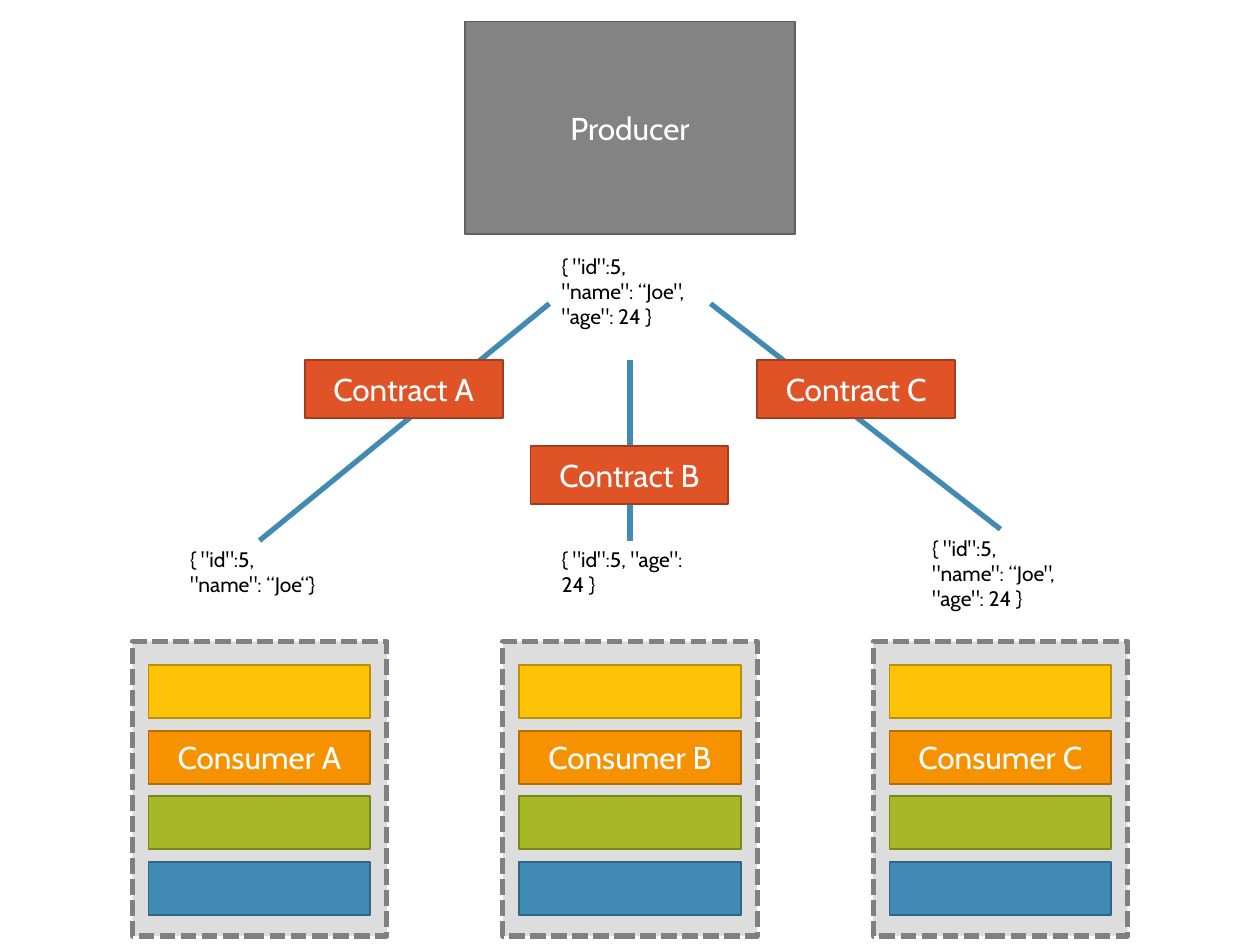
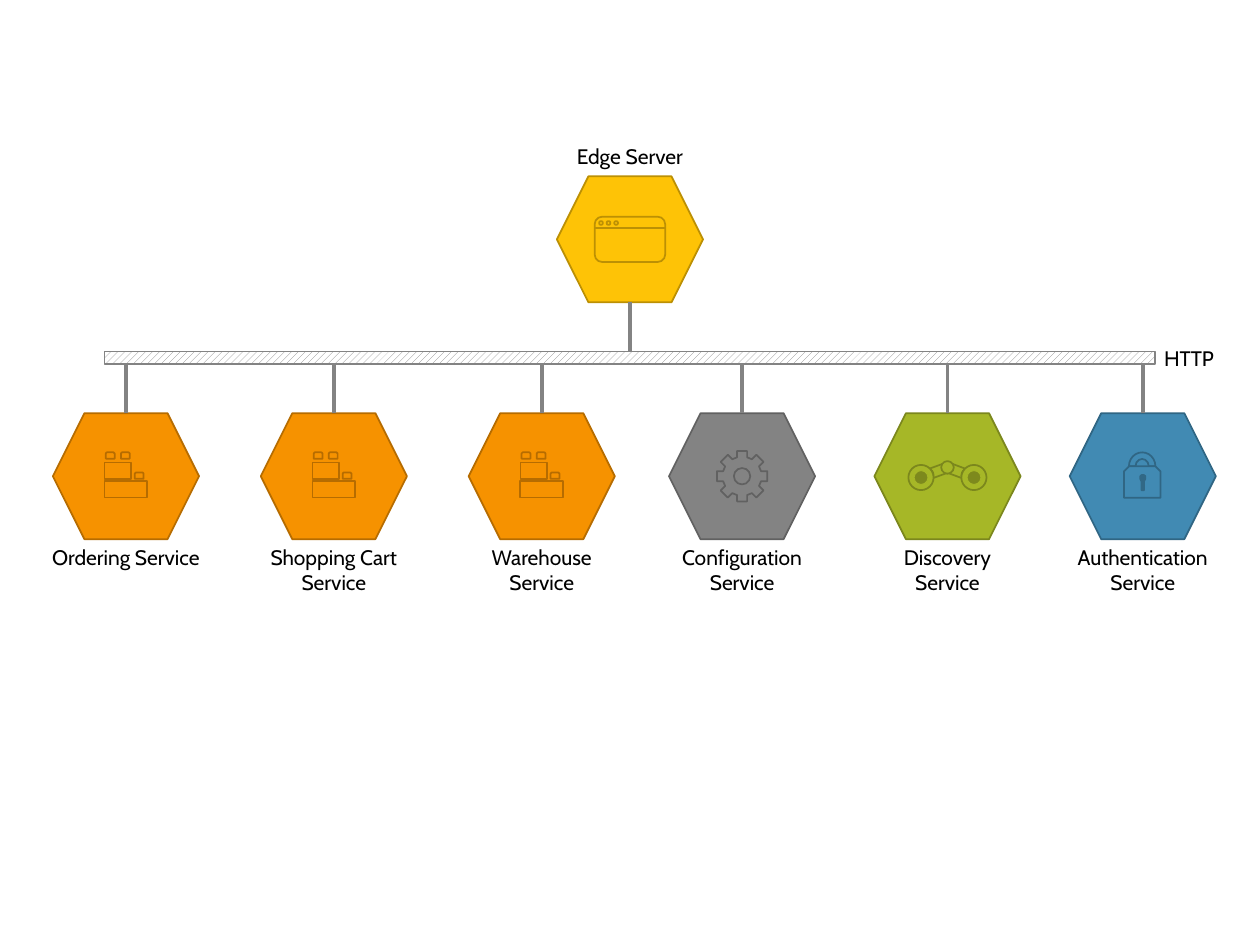
"""Builds two slides: consumer contracts and services behind an edge server."""
from dataclasses import dataclass
from math import cos, radians, sin
from typing import Callable, NamedTuple

from lxml import etree
from pptx import Presentation
from pptx import util as u
from pptx.dml.color import RGBColor
from pptx.enum import dml, shapes, text
from pptx.oxml import ns

KIND = shapes.MSO_SHAPE
ALIGN = text.PP_ALIGN
ANCHOR = text.MSO_ANCHOR


class Ink(NamedTuple):
    fill: str
    edge: str


class Rect(NamedTuple):
    x: float
    y: float
    w: float
    h: float


@dataclass(frozen=True)
class Theme:
    font: str = "Cabin"
    large: int = 18
    small: int = 12
    black: str = "000000"
    white: str = "FFFFFF"
    grey: Ink = Ink("838383", "616161")
    pale: Ink = Ink("DDDDDD", "808080")
    yellow: Ink = Ink("FEC306", "BC9004")
    orange: Ink = Ink("F69200", "B66C00")
    green: Ink = Ink("A6B727", "7B871D")
    blue: Ink = Ink("418AB3", "306684")
    red: Ink = Ink("DF5327", "A53D1D")
    lens: Ink = Ink("7D891D", "A6B727")
    hole: Ink = Ink("316886", "316886")


THEME = Theme()


@dataclass(frozen=True)
class Service:
    x: float
    name: str
    ink: Ink
    icon: Callable
    width: float = 1.3


@dataclass(frozen=True)
class Message:
    area: Rect
    words: str
    anchor: ANCHOR = ANCHOR.TOP


@dataclass(frozen=True)
class Deal:
    x: float
    y: float
    name: str
    start: tuple[float, float]
    end: tuple[float, float]


def rgb(code: str) -> RGBColor:
    return RGBColor.from_string(code)


def write(shape, words: str, size: int, color: str, align, anchor) -> None:
    frame = shape.text_frame
    frame.text = words
    frame.word_wrap = True
    frame.vertical_anchor = anchor
    for para in frame.paragraphs:
        para.alignment = align
        for run in para.runs:
            run.font.name = THEME.font
            run.font.size = u.Pt(size)
            run.font.color.rgb = rgb(color)


def paint(shape, ink: Ink, width: float = 1) -> None:
    shape.shadow.inherit = False
    shape.fill.solid()
    shape.fill.fore_color.rgb = rgb(ink.fill)
    shape.line.color.rgb = rgb(ink.edge)
    shape.line.width = u.Pt(width)


def block(slide, area: Rect, ink: Ink, words: str = "",
          kind=KIND.RECTANGLE, width: float = 1):
    shape = slide.shapes.add_shape(kind, *map(u.Inches, area))
    paint(shape, ink, width)
    if words:
        write(shape, words, THEME.large, THEME.white, ALIGN.CENTER, ANCHOR.MIDDLE)
    return shape


def disc(slide, x: float, y: float, size: float, ink: Ink, width: float = 1) -> None:
    area = Rect(x - size / 2, y - size / 2, size, size)
    block(slide, area, ink, kind=KIND.OVAL, width=width)


def label(slide, area: Rect, words: str, align=ALIGN.LEFT, anchor=ANCHOR.TOP) -> None:
    shape = slide.shapes.add_textbox(*map(u.Inches, area))
    write(shape, words, THEME.small, THEME.black, align, anchor)


def link(slide, start: tuple, end: tuple, color: str, width: float) -> None:
    line = slide.shapes.add_connector(
        shapes.MSO_CONNECTOR.STRAIGHT, *map(u.Inches, (*start, *end)))
    line.line.color.rgb = rgb(color)
    line.line.width = u.Pt(width)
    etree.SubElement(line._element.spPr, ns.qn("a:effectLst"))


def outline(slide, x: float, y: float, points: list, ink: Ink) -> None:
    """Draw a closed outline from offsets around a centre."""
    spots = [(u.Inches(x + dx), u.Inches(y + dy)) for dx, dy in points]
    pen = slide.shapes.build_freeform(*spots[0])
    pen.add_line_segments(spots[1:], close=True)
    paint(pen.convert_to_shape(), ink)


def crates(slide, x: float, y: float, ink: Ink) -> None:
    for dx, dy, w in ((-0.17, -0.11, 0.21), (-0.17, 0.04, 0.34)):
        block(slide, Rect(x + dx, y + dy, w, 0.13), ink)
    for dx, dy in ((-0.16, -0.19), (-0.04, -0.19), (0.07, -0.03)):
        block(slide, Rect(x + dx, y + dy, 0.07, 0.05), ink,
              kind=KIND.SNIP_2_SAME_RECTANGLE)


def gear(slide, x: float, y: float, ink: Ink) -> None:
    tooth = ((0.15, -0.04), (0.2, -0.04), (0.2, 0.04), (0.15, 0.04))
    points = [(r * cos(a) - t * sin(a), r * sin(a) + t * cos(a))
              for a in map(radians, range(0, 360, 45)) for r, t in tooth]
    outline(slide, x, y, points, ink)
    disc(slide, x, y, 0.13, ink)


def scope(slide, x: float, y: float, ink: Ink) -> None:
    for dx, turn in ((-0.15, 160), (-0.04, 20.5)):
        arm = block(slide, Rect(x + dx, y - 0.09, 0.19, 0.08), ink,
                    kind=KIND.FLOWCHART_STORED_DATA)
        arm.rotation = turn
    disc(slide, x, y - 0.07, 0.1, ink)
    for side in (-0.21, 0.21):
        disc(slide, x + side, y + 0.01, 0.2, ink)
        disc(slide, x + side, y + 0.01, 0.11, THEME.lens, 0.5)


def lock(slide, x: float, y: float, ink: Ink) -> None:
    block(slide, Rect(x - 0.11, y - 0.19, 0.21, 0.22), ink, kind=KIND.BLOCK_ARC)
    block(slide, Rect(x - 0.15, y - 0.08, 0.29, 0.25), ink,
          kind=KIND.SNIP_2_SAME_RECTANGLE)
    half = [(0.01, -0.02), (0.02, -0.01), (0.02, 0.01), (0.01, 0.03), (0.01, 0.1)]
    points = half + [(-dx, dy) for dx, dy in reversed(half)]
    outline(slide, x, y + 0.01, points, THEME.hole)


def window(slide, x: float, y: float, ink: Ink) -> None:
    block(slide, Rect(x - 0.28, y - 0.18, 0.56, 0.36), ink,
          kind=KIND.ROUNDED_RECTANGLE)
    link(slide, (x - 0.28, y - 0.09), (x + 0.28, y - 0.09), ink.edge, 1)
    for step in range(3):
        disc(slide, x - 0.23 + 0.06 * step, y - 0.13, 0.03, ink)


def stack(slide, x: float, name: str) -> None:
    frame = block(slide, Rect(x, 5.09, 2.02, 2.34), THEME.pale, width=3)
    frame.line.dash_style = dml.MSO_LINE.SQUARE_DOT
    layers = ((THEME.yellow, ""), (THEME.orange, name),
              (THEME.green, ""), (THEME.blue, ""))
    for row, (ink, words) in enumerate(layers):
        block(slide, Rect(x + 0.13, 5.28 + 0.52 * row, 1.76, 0.42), ink, words)


def node(slide, x: float, y: float, ink: Ink, icon: Callable) -> None:
    """Draw a hexagon with its icon, centred at a point."""
    block(slide, Rect(x - 0.58, y - 0.5, 1.16, 1), ink, kind=KIND.HEXAGON)
    icon(slide, x, y, ink)


FULL = '{ "id":5,\n"name": “Joe",\n"age": 24 }'
MESSAGES = (
    Message(Rect(4.36, 1.96, 1.29, 0.91), FULL),
    Message(Rect(1.41, 4.29, 1.29, 0.5), '{ "id":5,\n"name": “Joe“}', ANCHOR.MIDDLE),
    Message(Rect(4.36, 4.29, 1.29, 0.5), '{ "id":5, "age": 24 }', ANCHOR.MIDDLE),
    Message(Rect(7.3, 4.2, 1.29, 0.91), FULL),
)
DEALS = (
    Deal(2.42, 2.86, "Contract A", (2.06, 4.29), (4.36, 2.41)),
    Deal(4.21, 3.54, "Contract B", (5, 4.29), (5, 2.86)),
    Deal(6.01, 2.86, "Contract C", (7.94, 4.2), (5.64, 2.41)),
)
SERVICES = (
    Service(1, "Ordering Service", THEME.orange, crates, 1.5),
    Service(2.65, "Shopping Cart\nService", THEME.orange, crates),
    Service(4.3, "Warehouse Service", THEME.orange, crates),
    Service(5.89, "Configuration\nService", THEME.grey, gear),
    Service(7.52, "Discovery Service", THEME.green, scope),
    Service(9.07, "Authentication\nService", THEME.blue, lock),
)


def contracts(slide) -> None:
    block(slide, Rect(3.69, 0.17, 2.62, 1.69), THEME.grey, "Producer")
    for index, letter in enumerate("ABC"):
        stack(slide, 1.05 + 2.94 * index, f"Consumer {letter}")
    for note in MESSAGES:
        label(slide, note.area, note.words, anchor=note.anchor)
    for deal in DEALS:
        link(slide, deal.start, deal.end, THEME.blue.fill, 3)
        block(slide, Rect(deal.x, deal.y, 1.57, 0.46), THEME.red, deal.name)


def network(slide) -> None:
    bus = block(slide, Rect(0.83, 2.79, 8.34, 0.1),
                Ink(THEME.white, THEME.grey.fill))
    bus.fill.patterned()
    bus.fill.pattern = dml.MSO_PATTERN.WIDE_UPWARD_DIAGONAL
    bus.fill.fore_color.rgb = rgb(THEME.grey.fill)
    bus.fill.back_color.rgb = rgb(THEME.white)
    label(slide, Rect(9.14, 2.69, 0.66, 0.3), "HTTP")
    node(slide, 5, 1.9, THEME.yellow, window)
    label(slide, Rect(4.4, 1.09, 1.2, 0.3), "Edge Server", ALIGN.CENTER)
    link(slide, (5, 2.79), (5, 2.4), THEME.grey.fill, 2)
    for item in SERVICES:
        node(slide, item.x, 3.78, item.ink, item.icon)
        label(slide, Rect(item.x - item.width / 2, 4.27, item.width, 0.5),
              item.name, ALIGN.CENTER)
        link(slide, (item.x, 3.28), (item.x, 2.89), THEME.grey.fill, 2)


def main() -> None:
    deck = Presentation()
    deck.slide_width, deck.slide_height = u.Inches(10), u.Inches(7.5)
    for draw in (contracts, network):
        draw(deck.slides.add_slide(deck.slide_layouts[6]))
    deck.save("out.pptx")


if __name__ == "__main__":
    main()
